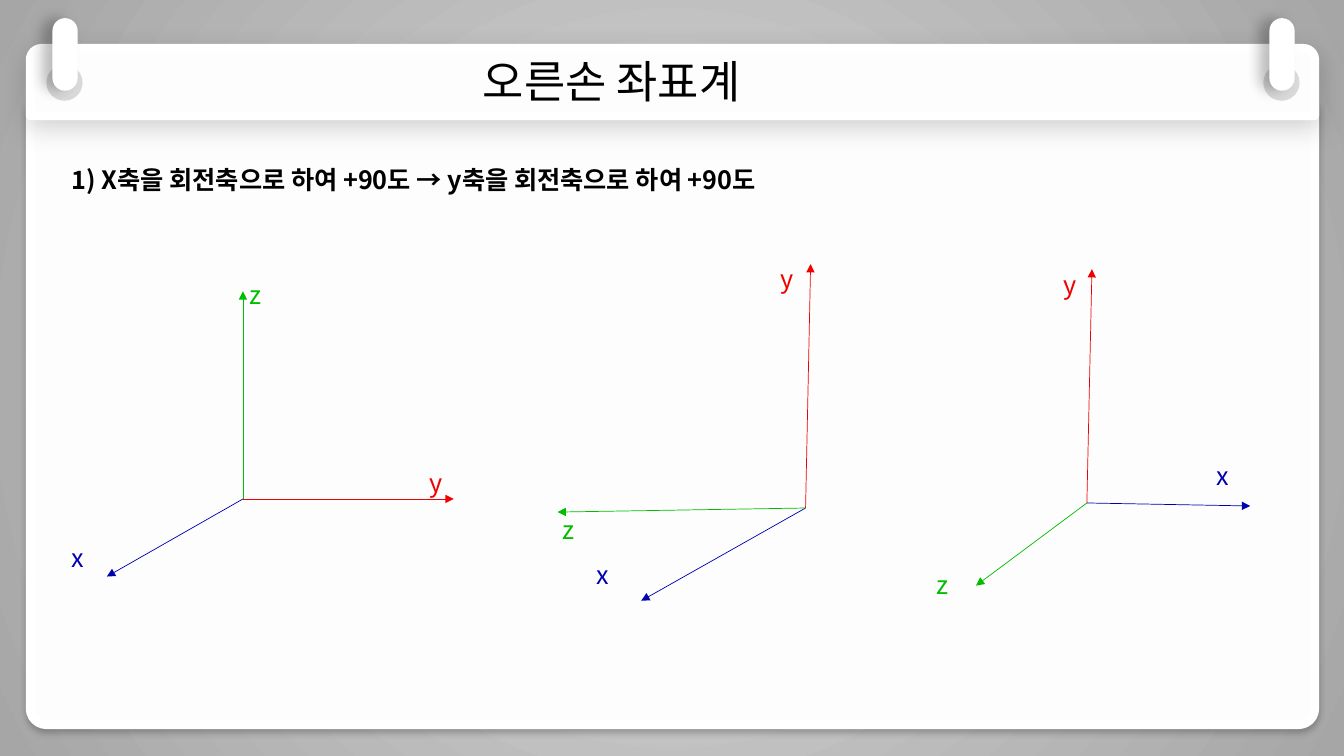
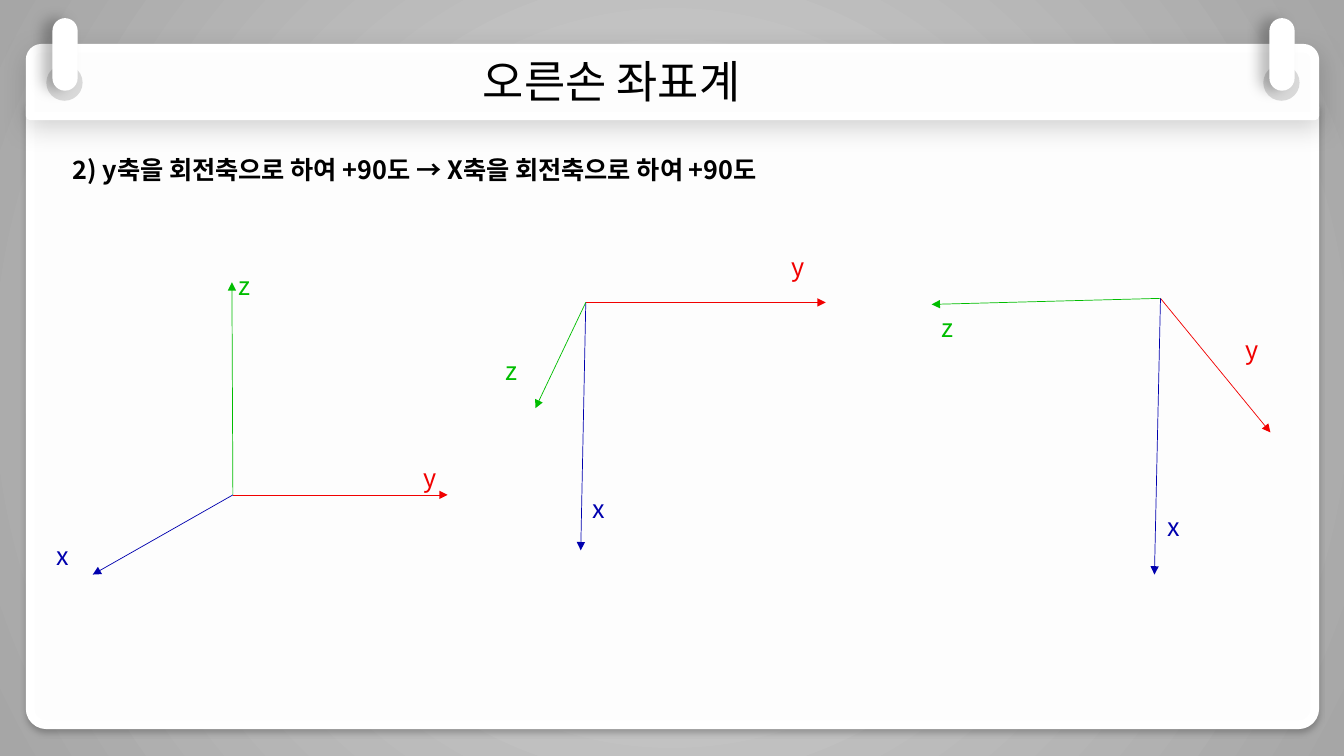
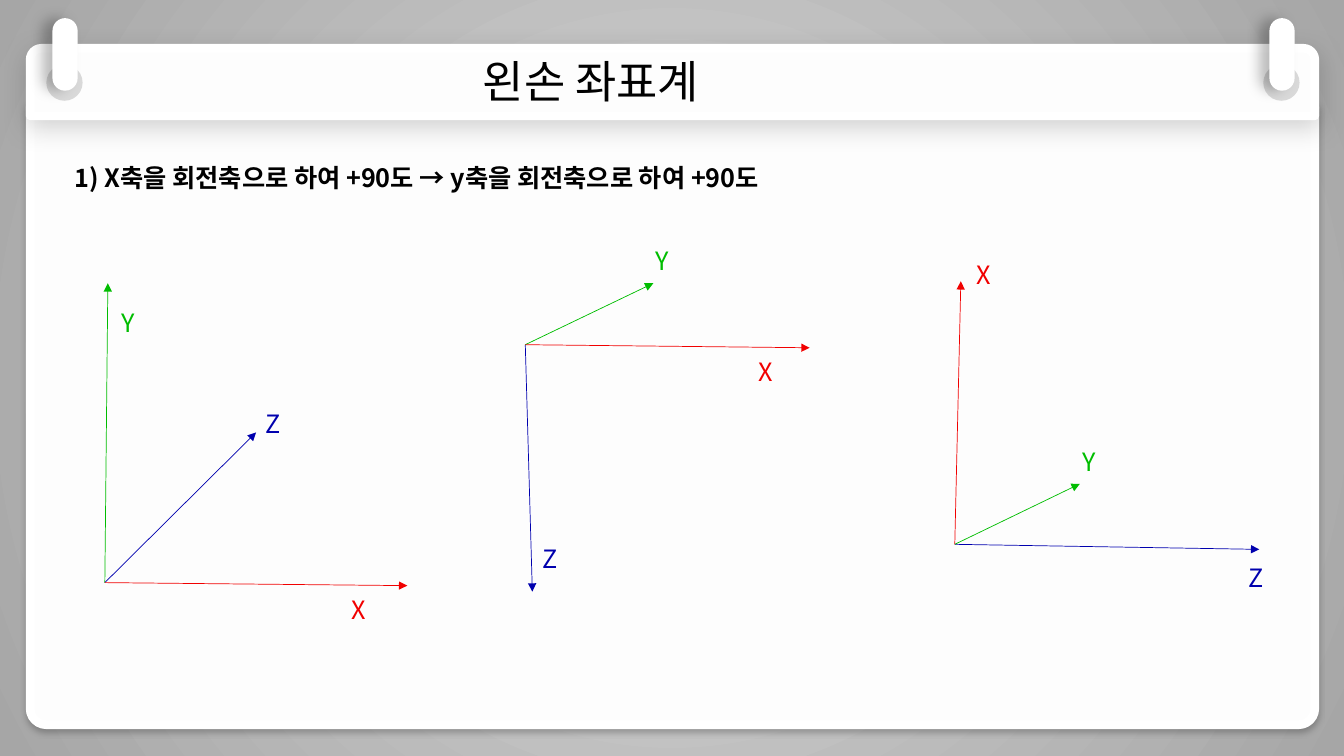
from lxml.etree import SubElement
from pptx import Presentation
from pptx.dml.color import RGBColor
from pptx.enum.shapes import MSO_CONNECTOR, MSO_SHAPE
from pptx.enum.text import MSO_ANCHOR, MSO_AUTO_SIZE, PP_ALIGN
from pptx.oxml.ns import qn
from pptx.util import Inches, Pt

FONT = "Noto Sans CJK KR"
BLACK = RGBColor(0x00, 0x00, 0x00)
WHITE = RGBColor(0xFF, 0xFF, 0xFF)
PAPER = RGBColor(0xFD, 0xFD, 0xFD)
LIGHT_GRAY = RGBColor(0xD9, 0xD9, 0xD9)
MID_GRAY = RGBColor(0xA6, 0xA6, 0xA6)
RED = RGBColor(0xF1, 0x00, 0x00)
GREEN = RGBColor(0x00, 0xBD, 0x00)
BLUE = RGBColor(0x00, 0x00, 0xAE)

# Lower-case axes are right-handed, upper-case axes left-handed
AXIS_COLORS = {"x": BLUE, "y": RED, "z": GREEN, "X": RED, "Y": GREEN, "Z": BLUE}

# Each triad: origin, label box size, then per axis: arrow tip, label corner
SLIDES = [
    {
        "title": "오른손 좌표계",
        "step": "1) X축을 회전축으로 하여 +90도 → y축을 회전축으로 하여 +90도",
        "step_box": (0.61, 1.58, 7.92, 0.4),
        "triads": [
            ((2.41, 4.95), (0.32, 0.39), {
                "y": ((4.5, 4.95), (4.16, 4.59)),
                "x": ((1.06, 5.72), (0.61, 5.33)),
                "z": ((2.41, 2.89), (2.38, 2.72))}),
            ((7.99, 5.04), (0.39, 0.47), {
                "y": ((8.04, 2.62), (7.64, 2.56)),
                "x": ((6.36, 5.96), (5.82, 5.5)),
                "z": ((5.53, 5.08), (5.48, 5.05))}),
            ((10.78, 4.99), (0.37, 0.45), {
                "y": ((10.83, 2.67), (10.45, 2.62)),
                "x": ((12.4, 5.02), (11.97, 4.52)),
                "z": ((9.68, 5.81), (9.19, 5.6))}),
        ],
    },
    {
        "title": "오른손 좌표계",
        "step": "2) y축을 회전축으로 하여 +90도 → X축을 회전축으로 하여 +90도",
        "step_box": (0.62, 1.48, 7.41, 0.4),
        "triads": [
            ((2.31, 4.91), (0.33, 0.4), {
                "y": ((4.44, 4.91), (4.1, 4.54)),
                "x": ((0.92, 5.7), (0.46, 5.31)),
                "z": ((2.3, 2.8), (2.27, 2.63))}),
            ((5.81, 3), (0.5, 0.61), {
                "y": ((8.19, 3), (7.75, 2.44)),
                "x": ((5.76, 5.46), (5.78, 4.84)),
                "z": ((5.31, 4.05), (4.92, 3.48))}),
            ((11.51, 2.96), (0.56, 0.68), {
                "y": ((12.6, 4.29), (12.26, 3.27)),
                "x": ((11.45, 5.7), (11.48, 5.02)),
                "z": ((9.24, 3.02), (9.24, 3.05))}),
        ],
    },
    {
        "title": "왼손 좌표계",
        "step": "1) X축을 회전축으로 하여 +90도 → y축을 회전축으로 하여 +90도",
        "step_box": (0.64, 1.56, 7.92, 0.4),
        "triads": [
            ((1.04, 5.78), (0.47, 0.57), {
                "Z": ((2.54, 4.29), (2.54, 4)),
                "Y": ((1.07, 2.81), (1.11, 3)),
                "X": ((4.04, 5.81), (3.39, 5.85))}),
            ((5.21, 3.42), (0.44, 0.53), {
                "Z": ((5.28, 5.87), (5.28, 5.34)),
                "Y": ((6.48, 2.81), (6.4, 2.38)),
                "X": ((8.03, 3.45), (7.42, 3.49))}),
            ((9.47, 5.4), (0.43, 0.52), {
                "Z": ((12.49, 5.45), (12.28, 5.53)),
                "Y": ((10.71, 4.8), (10.64, 4.38)),
                "X": ((9.53, 2.79), (9.59, 2.52))}),
        ],
    },
]


def write_text(shape, text, box, size=18, color=BLACK, bold=False):
    shape.left, shape.top, shape.width, shape.height = map(Inches, box)
    frame = shape.text_frame
    frame.word_wrap = True
    frame.auto_size = MSO_AUTO_SIZE.SHAPE_TO_FIT_TEXT
    frame.vertical_anchor = MSO_ANCHOR.TOP
    paragraph = frame.paragraphs[0]
    paragraph.alignment = PP_ALIGN.LEFT
    run = paragraph.add_run()
    run.text = text
    run.font.name = FONT
    run.font.size = Pt(size)
    run.font.bold = bold
    run.font.color.rgb = color
    SubElement(run.font._element, qn("a:ea"), typeface=FONT)


def add_panel(shapes, kind, box, fill, adjustments=(), outline=None, shadow=None):
    shape = shapes.add_shape(kind, *map(Inches, box))
    for index, value in enumerate(adjustments):
        shape.adjustments[index] = value
    shape.fill.solid()
    shape.fill.fore_color.rgb = fill
    if outline:
        shape.line.color.rgb = outline
        shape.line.width = Pt(6.25)
    else:
        shape.line.fill.background()
    shape.shadow.inherit = False
    if shadow:
        opacity, blur, distance, angle = shadow
        effects = shape.element.spPr.find(qn("a:effectLst"))
        outer = SubElement(effects, qn("a:outerShdw"), blurRad=str(Pt(blur)),
                           dist=str(Pt(distance)), dir=str(angle * 60000),
                           algn="ctr", rotWithShape="0")
        tint = SubElement(outer, qn("a:srgbClr"), val=str(BLACK))
        SubElement(tint, qn("a:alpha"), val=str(opacity * 1000))
    return shape


presentation = Presentation()
presentation.slide_width = Inches(13.33)
presentation.slide_height = Inches(7.5)
layout = presentation.slide_layouts[5]
slides = [presentation.slides.add_slide(layout) for _ in SLIDES]

# Shared background: gray gradient from the centre outwards
background = layout.background.fill
background.gradient()
for stop, color in zip(background.gradient_stops, (LIGHT_GRAY, MID_GRAY)):
    stop.color.rgb = color
for stop, position in zip(background.gradient_stops, (0, 1)):
    stop.position = position
linear = layout.element.find(".//" + qn("a:lin"))
gradient = linear.getparent()
gradient.remove(linear)
radial = SubElement(gradient, qn("a:path"), path="circle")
SubElement(radial, qn("a:fillToRect"), l="50000", t="50000", r="50000", b="50000")

# Shared notepad: page, title band and two binder pins
shapes = slides[0].shapes
notepad = [
    add_panel(shapes, MSO_SHAPE.ROUND_2_SAME_RECTANGLE, (0.3, 1.06, 12.74, 6.13),
              PAPER, adjustments=(0, 0.026), outline=WHITE, shadow=(24, 4, 3, 90)),
    add_panel(shapes, MSO_SHAPE.ROUND_2_SAME_RECTANGLE, (0.3, 0.48, 12.74, 0.67),
              PAPER, outline=WHITE, shadow=(17, 18, 5, 90)),
]
for hole_left in (0.46, 12.53):
    notepad.append(add_panel(shapes, MSO_SHAPE.OVAL,
                             (hole_left, 0.64, 0.36, 0.36), LIGHT_GRAY))
    notepad.append(add_panel(shapes, MSO_SHAPE.ROUNDED_RECTANGLE,
                             (hole_left + 0.06, 0.18, 0.25, 0.72), WHITE,
                             adjustments=(0.5,), shadow=(25, 10, 7, 180)))

# The notepad belongs to the layout, behind its placeholders
for index, shape in enumerate(notepad):
    layout.shapes.element.insert(2 + index, shape.element)

for slide, content in zip(slides, SLIDES):
    # Title and rotation step
    write_text(slide.shapes.title, content["title"], (4.69, 0.48, 4.01, 0.64), size=32)
    step_box = content["step_box"]
    step = slide.shapes.add_textbox(*map(Inches, step_box))
    write_text(step, content["step"], step_box, bold=True)

    # Coordinate axes before, between and after the rotations
    for origin, label_size, axes in content["triads"]:
        for letter, (tip, corner) in axes.items():
            color = AXIS_COLORS[letter]
            arrow = slide.shapes.add_connector(
                MSO_CONNECTOR.STRAIGHT, *map(Inches, origin + tip))
            arrow.line.color.rgb = color
            arrow.line.width = Pt(0.5)
            SubElement(arrow.line._get_or_add_ln(), qn("a:tailEnd"), type="triangle")
            SubElement(arrow.element.spPr, qn("a:effectLst"))

            label_box = corner + label_size
            label = slide.shapes.add_textbox(*map(Inches, label_box))
            write_text(label, letter, label_box, color=color)

presentation.save("out.pptx")
